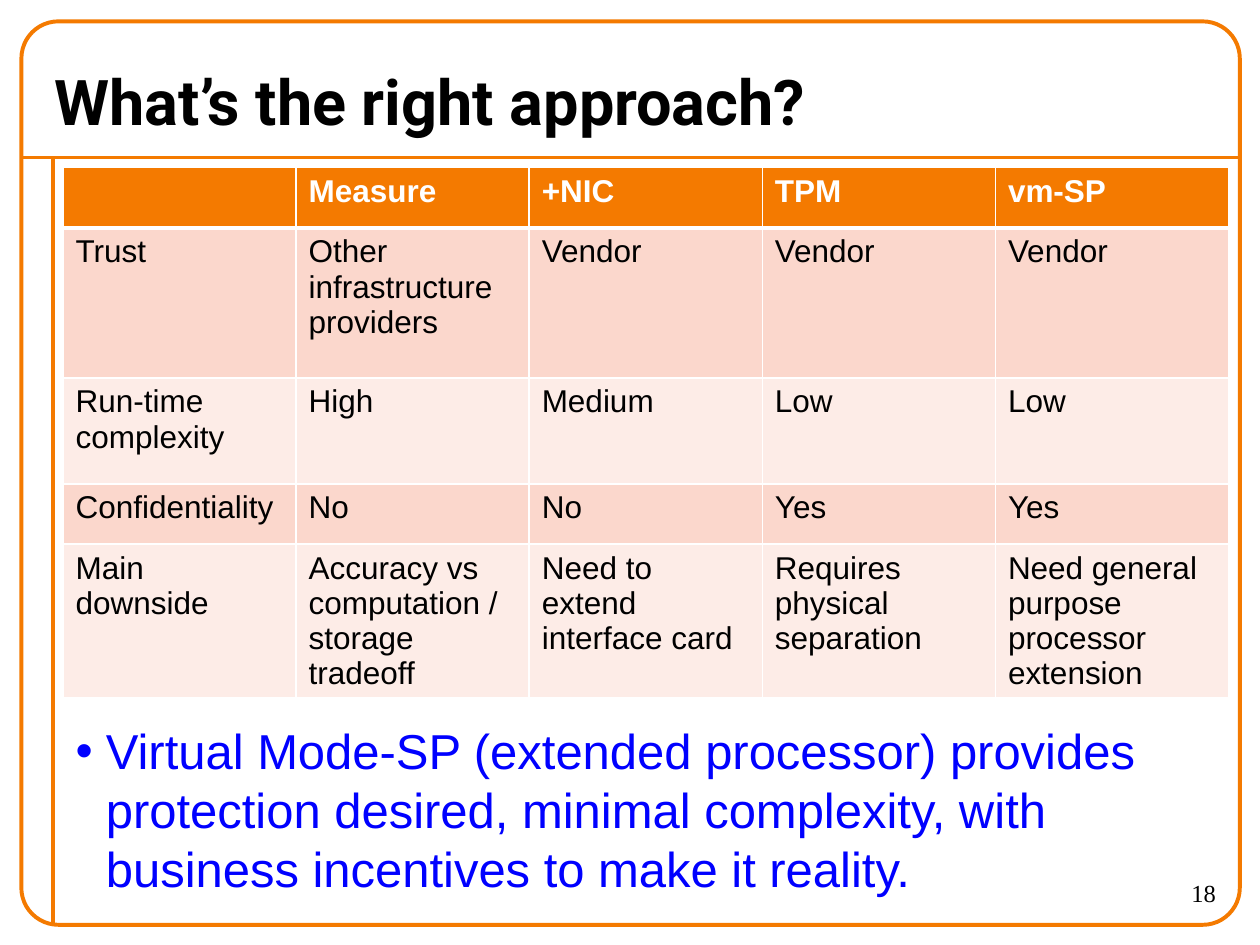
from dataclasses import dataclass

from lxml import etree
from pptx import Presentation
from pptx.dml.color import RGBColor
from pptx.enum.shapes import MSO_CONNECTOR, MSO_SHAPE
from pptx.enum.text import MSO_ANCHOR, MSO_AUTO_SIZE, PP_ALIGN
from pptx.oxml.ns import qn
from pptx.shapes.base import BaseShape
from pptx.slide import Slide
from pptx.table import _Cell
from pptx.text.text import _Paragraph
from pptx.util import Inches, Pt

STRAIGHT = MSO_CONNECTOR.STRAIGHT
ROUNDED_RECTANGLE = MSO_SHAPE.ROUNDED_RECTANGLE
TOP, MIDDLE = MSO_ANCHOR.TOP, MSO_ANCHOR.MIDDLE
LEFT, RIGHT = PP_ALIGN.LEFT, PP_ALIGN.RIGHT
NO_AUTOFIT = MSO_AUTO_SIZE.NONE


@dataclass(frozen=True)
class TextStyle:
    font: str
    size: float
    color: str
    bold: bool = False


@dataclass(frozen=True)
class Theme:
    accent: str = "F47A00"
    bands: tuple[str, str] = ("FBD7CC", "FDECE7")
    border: str = "FFFFFF"
    rule_width: float = 2.25
    title: TextStyle = TextStyle("Roboto", 36, "000000", True)
    header: TextStyle = TextStyle("Arial", 18, "FFFFFF", True)
    cell: TextStyle = TextStyle("Arial", 18, "000000")
    body: TextStyle = TextStyle("Arial", 28, "0000FF")
    number: TextStyle = TextStyle("Times New Roman", 14, "000000")


@dataclass(frozen=True)
class Box:
    left: float
    top: float
    width: float
    height: float


@dataclass(frozen=True)
class Rule:
    start: tuple[float, float]
    end: tuple[float, float]


@dataclass(frozen=True)
class TableRow:
    height: float
    texts: tuple[str, ...]


THEME = Theme()
FRAME = Box(0.17, 0.17, 9.67, 7.17)
RULES = (
    Rule((0.17, 1.25), (9.83, 1.25)),
    Rule((0.42, 1.25), (0.42, 7.33)),
)
TITLE_BOX = Box(0.33, 0.42, 8.82, 0.75)
BODY_BOX = Box(0.5, 5.67, 9.33, 1.67)
NUMBER_BOX = Box(8.75, 6.92, 1, 0.42)
TABLE_LEFT, TABLE_TOP, COLUMN_WIDTH = 0.5, 1.33, 1.85
BULLET_INDENT = 0.24
ROWS = (
    TableRow(0.48, ("", "Measure", "+NIC", "TPM", "vm-SP")),
    TableRow(1.19, ("Trust", "Other infrastructure providers", "Vendor", "Vendor", "Vendor")),
    TableRow(0.84, ("Run-time complexity", "High", "Medium", "Low", "Low")),
    TableRow(0.48, ("Confidentiality", "No", "No", "Yes", "Yes")),
    TableRow(1.21, (
        "Main downside",
        "Accuracy vs computation / storage tradeoff",
        "Need to extend interface card",
        "Requires physical separation",
        "Need general purpose processor extension",
    )),
)


def color(value: str) -> RGBColor:
    return RGBColor.from_string(value)


def place(shape: BaseShape, box: Box) -> None:
    shape.left, shape.top = Inches(box.left), Inches(box.top)
    shape.width, shape.height = Inches(box.width), Inches(box.height)


def add_run(paragraph: _Paragraph, text: str, style: TextStyle) -> None:
    run = paragraph.add_run()
    run.text = text
    run.font.name = style.font
    run.font.size = Pt(style.size)
    run.font.bold = style.bold
    run.font.color.rgb = color(style.color)


def write_text(shape: BaseShape, text: str, style: TextStyle,
               alignment: PP_ALIGN, anchor: MSO_ANCHOR) -> _Paragraph:
    frame = shape.text_frame
    frame.word_wrap = True
    frame.auto_size = NO_AUTOFIT
    frame.vertical_anchor = anchor
    paragraph = frame.paragraphs[0]
    paragraph.alignment = alignment
    add_run(paragraph, text, style)
    return paragraph


def set_bullet(paragraph: _Paragraph, indent: float) -> None:
    properties = paragraph._p.get_or_add_pPr()
    properties.set("marL", str(Inches(indent)))
    properties.set("indent", str(-Inches(indent)))
    etree.SubElement(properties, qn("a:buChar")).set("char", "•")


def add_rule(slide: Slide, rule: Rule) -> None:
    connector = slide.shapes.add_connector(
        STRAIGHT, *map(Inches, rule.start), *map(Inches, rule.end))
    connector.line.color.rgb = color(THEME.accent)
    connector.line.width = Pt(THEME.rule_width)
    etree.SubElement(connector._element.spPr, qn("a:effectLst"))


def add_frame(slide: Slide) -> None:
    frame = slide.shapes.add_shape(ROUNDED_RECTANGLE, 0, 0, 0, 0)
    place(frame, FRAME)
    frame.adjustments[0] = 0.041
    frame.shadow.inherit = False
    frame.fill.background()
    frame.line.color.rgb = color(THEME.accent)
    frame.line.width = Pt(THEME.rule_width)


def style_cell(cell: _Cell, fill: str, bottom_width: float) -> None:
    """Draw the four borders, then the fill, in the order the schema asks for."""
    properties = cell._tc.get_or_add_tcPr()
    for side, width in (("L", 1), ("R", 1), ("T", 1), ("B", bottom_width)):
        line = etree.SubElement(properties, qn(f"a:ln{side}"), w=str(Pt(width)))
        line_fill = etree.SubElement(line, qn("a:solidFill"))
        etree.SubElement(line_fill, qn("a:srgbClr"), val=THEME.border)
    cell.fill.solid()
    cell.fill.fore_color.rgb = color(fill)


def add_comparison_table(slide: Slide) -> None:
    column_count = len(ROWS[0].texts)
    table = slide.shapes.add_table(
        len(ROWS), column_count, Inches(TABLE_LEFT), Inches(TABLE_TOP),
        Inches(COLUMN_WIDTH * column_count),
        Inches(sum(row.height for row in ROWS))).table
    for column in table.columns:
        column.width = Inches(COLUMN_WIDTH)
    for row_index, row in enumerate(ROWS):
        is_header = row_index == 0
        table.rows[row_index].height = Inches(row.height)
        fill = THEME.accent if is_header else THEME.bands[(row_index - 1) % 2]
        style = THEME.header if is_header else THEME.cell
        for column_index, text in enumerate(row.texts):
            cell = table.cell(row_index, column_index)
            style_cell(cell, fill, 3 if is_header else 1)
            if text:
                add_run(cell.text_frame.paragraphs[0], text, style)


def main() -> None:
    presentation = Presentation()
    presentation.slide_width, presentation.slide_height = Inches(10), Inches(7.5)
    slide = presentation.slides.add_slide(presentation.slide_layouts[1])

    for rule in RULES:
        add_rule(slide, rule)
    add_frame(slide)

    title, body = slide.shapes.title, slide.placeholders[1]
    place(title, TITLE_BOX)
    write_text(title, "What’s the right approach?", THEME.title, LEFT, MIDDLE)
    add_comparison_table(slide)

    number = slide.shapes.add_textbox(0, 0, 0, 0)
    place(number, NUMBER_BOX)
    write_text(number, "18", THEME.number, RIGHT, TOP)

    place(body, BODY_BOX)
    summary = write_text(
        body,
        "Virtual Mode-SP (extended processor) provides protection desired, "
        "minimal complexity, with business incentives to make it reality.",
        THEME.body, LEFT, TOP)
    summary.space_before = Pt(THEME.body.size / 2)
    set_bullet(summary, BULLET_INDENT)
    presentation.save("out.pptx")


if __name__ == "__main__":
    main()
